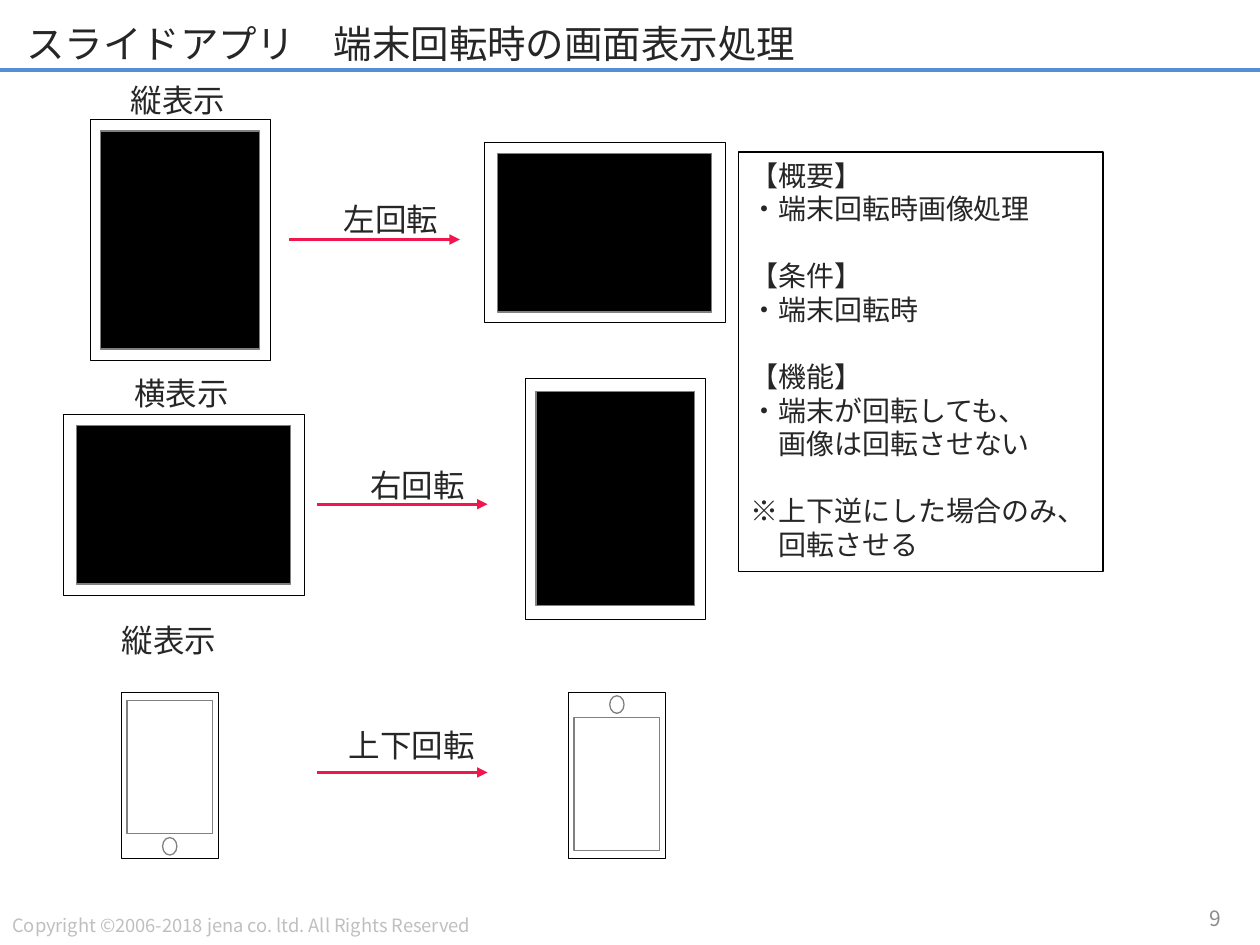
from lxml import etree
from pptx import Presentation
from pptx.dml.color import RGBColor
from pptx.enum import lang, shapes, text
from pptx.oxml import ns
from pptx.util import Pt

COLORS = {
    "rule": "558ED5", "arrow": "F0174E", "text": "262626", "footer": "BFBFBF",
    "number": "8C8C8C", "edge": "808080", "black": "000000", "white": "FFFFFF",
}
NOTO = "Noto Sans CJK JP"
SHORT_SIDE, LONG_SIDE = 103, 137.5
NOTES = [
    ["【概要】", "・端末回転時画像処理"],
    ["【条件】", "・端末回転時"],
    ["【機能】", "・端末が回転しても、", "画像は回転させない"],
    ["※上下逆にした場合のみ、", "回転させる"],
]


def rgb(name):
    return RGBColor.from_string(COLORS[name])


def add_run(p, content, size, color="text", font=NOTO):
    r = p.add_run()
    r.text = content
    r.font.size = Pt(size)
    r.font.name = font
    r.font.language_id = lang.MSO_LANGUAGE_ID.JAPANESE
    r.font.color.rgb = rgb(color)
    ea = etree.SubElement(r.font._element, ns.qn("a:ea"))
    ea.set("typeface", NOTO)


def add_label(slide, box, content, size=18, color="text", font=NOTO, wrap=False,
              anchor=text.MSO_ANCHOR.TOP, align=text.PP_ALIGN.LEFT):
    tf = slide.shapes.add_textbox(*map(Pt, box)).text_frame
    tf.word_wrap = wrap
    tf.vertical_anchor = anchor
    p = tf.paragraphs[0]
    p.alignment = align
    add_run(p, content, size, color, font)


def add_box(parent, box, fill="white", line="edge", width=0.75,
            kind=shapes.MSO_SHAPE.RECTANGLE):
    sp = parent.shapes.add_shape(kind, *map(Pt, box))
    sp.shadow.inherit = False
    sp.fill.solid()
    sp.fill.fore_color.rgb = rgb(fill)
    sp.line.color.rgb = rgb(line)
    sp.line.width = Pt(width)
    return sp


def add_line(slide, x, y, length, color, width, arrow=False):
    cn = slide.shapes.add_connector(
        shapes.MSO_CONNECTOR.STRAIGHT, Pt(x), Pt(y), Pt(x + length), Pt(y))
    cn.line.color.rgb = rgb(color)
    cn.line.width = Pt(width)
    if arrow:
        etree.SubElement(cn.line._get_or_add_ln(), ns.qn("a:tailEnd")).set("type", "triangle")
    etree.SubElement(cn._element.spPr, ns.qn("a:effectLst"))


def add_frame(slide):
    """Title, rule, copyright line and slide number."""
    middle = text.MSO_ANCHOR.MIDDLE
    add_line(slide, 0, 40.2, 720, "rule", 2.25)
    add_label(slide, (0, 519, 304.6, 20.2),
              "Copyright ©2006-2018\u00a0jena co. ltd. All Rights Reserved", 10.5, "footer")
    add_label(slide, (641.5, 510.5, 63.4, 28.8), "9", 12, "number", wrap=True,
              anchor=middle, align=text.PP_ALIGN.RIGHT)
    add_label(slide, (8, 6.5, 704, 36), "スライドアプリ　端末回転時の画面表示処理", 22,
              wrap=True, anchor=middle)


def add_tablet(slide, x, y, landscape=False, screen_long=122.4):
    """A tablet whose screen is centred in its body."""
    w, h, sw, sh = SHORT_SIDE, LONG_SIDE, 90.7, screen_long
    if landscape:
        w, h, sw, sh = h, w, sh, sw
    group = slide.shapes.add_group_shape()
    add_box(group, (x, y, w, h), line="black", width=0.25)
    add_box(group, (x + (w - sw) / 2, y + (h - sh) / 2, sw, sh), fill="black")


def add_phone(slide, x, y, upside_down=False):
    w, h = 55.4, 94.6
    group = slide.shapes.add_group_shape()
    add_box(group, (x, y, w, h), line="black", width=0.25)
    parts = [
        (49, 76, 4.5, shapes.MSO_SHAPE.RECTANGLE),
        (8.2, 10, 82.8, shapes.MSO_SHAPE.OVAL),
    ]
    for pw, ph, dy, kind in parts:
        if upside_down:
            dy = h - dy - ph
        add_box(group, (x + (w - pw) / 2, y + dy, pw, ph), kind=kind)


def add_rotation(slide, x, y, label, label_box):
    """A red arrow with its label, placed relative to the arrow's start."""
    dx, dy, w = label_box
    add_line(slide, x, y, 97.5, "arrow", 1.75, arrow=True)
    add_label(slide, (x + dx, y + dy, w, 29), label, font="Arial")


def add_notes_box(slide, box):
    sp = add_box(slide, box, line="black", width=1)
    tf = sp.text_frame
    tf.word_wrap = True
    tf.vertical_anchor = text.MSO_ANCHOR.TOP
    tf.margin_right = 0
    for i, section in enumerate(NOTES):
        for j, content in enumerate(section):
            p = tf.paragraphs[0] if i == j == 0 else tf.add_paragraph()
            p.alignment = text.PP_ALIGN.LEFT
            if i and j == 0:
                p.space_before = Pt(19.2)
            if content[0] not in "【・※":
                p._p.get_or_add_pPr().set("marL", str(Pt(16)))
            add_run(p, content, 16)


def main():
    prs = Presentation()
    prs.slide_width, prs.slide_height = Pt(720), Pt(540)
    slide = prs.slides.add_slide(prs.slide_layouts[6])
    add_frame(slide)

    for x, y, content in [(67.7, 42.5, "縦表示"), (69.8, 210.2, "横表示"), (62.6, 351.4, "縦表示")]:
        add_label(slide, (x, y, 69, 29), content)

    add_tablet(slide, 51.4, 68.4, screen_long=124.6)
    add_tablet(slide, 276.7, 81.4, landscape=True)
    add_tablet(slide, 36.2, 236.9, landscape=True)
    add_tablet(slide, 300.2, 216.2)
    add_phone(slide, 69.3, 395.8)
    add_phone(slide, 324.8, 395.8, upside_down=True)

    add_rotation(slide, 165.3, 136.9, "左回転", (24, -26, 69))
    add_rotation(slide, 181.1, 288.1, "右回転", (23.4, -25.3, 69))
    add_rotation(slide, 181.1, 441.4, "上下回転", (11.2, -30.3, 87))
    add_notes_box(slide, (422, 86.8, 208.3, 239.8))
    prs.save("out.pptx")


if __name__ == "__main__":
    main()
